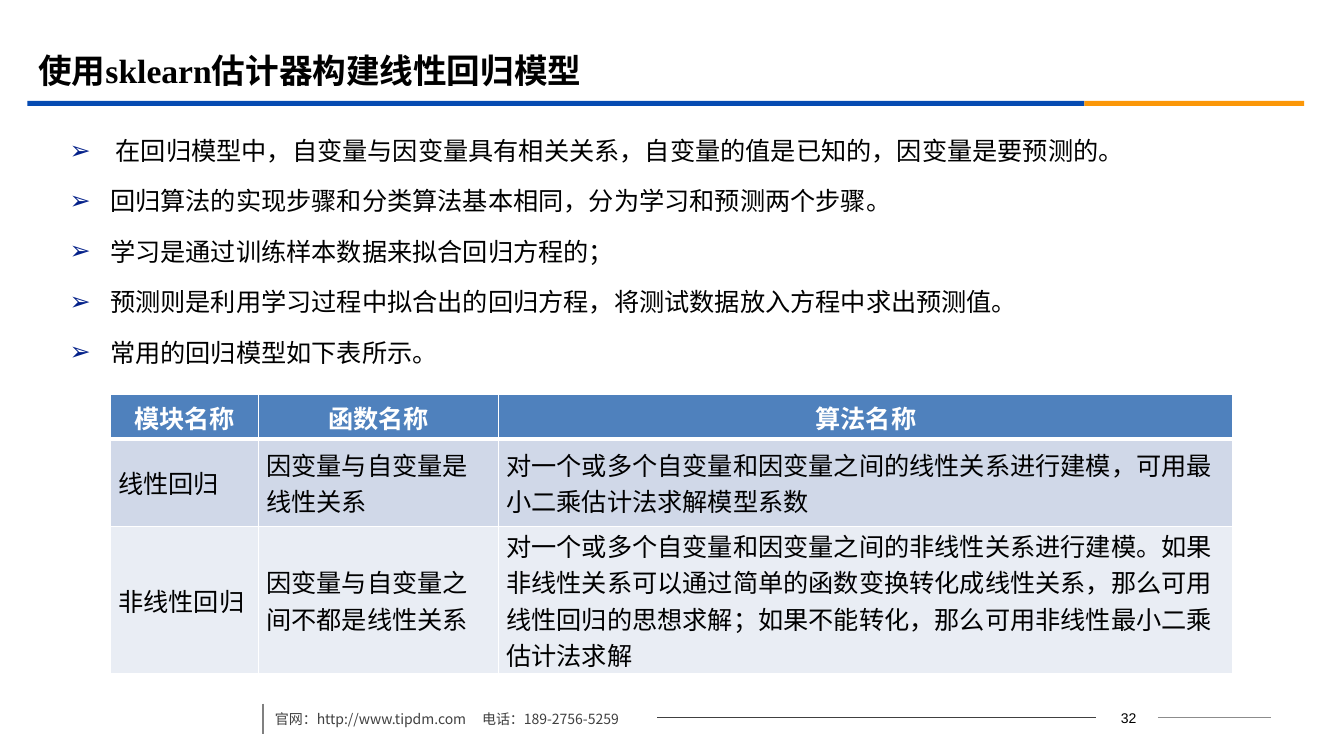
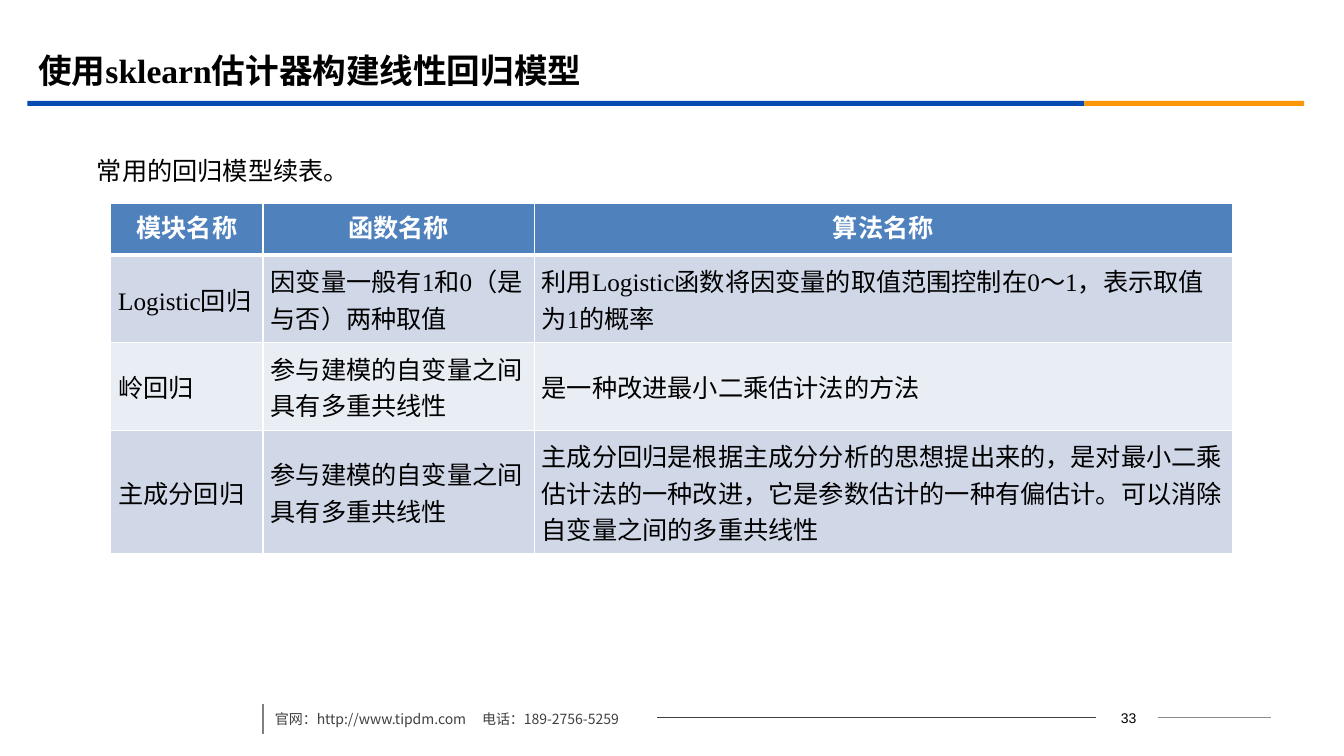
from lxml import etree
from pptx import Presentation
from pptx.dml.color import RGBColor
from pptx.enum.lang import MSO_LANGUAGE_ID as Language
from pptx.enum.shapes import MSO_CONNECTOR as Connector, MSO_SHAPE as Shape
from pptx.enum.text import MSO_ANCHOR as Anchor, MSO_AUTO_SIZE as AutoSize, PP_ALIGN as Align
from pptx.oxml.ns import qn
from pptx.util import Cm, Pt

COLORS = {
    "blue": "064BB2", "orange": "FB9708", "black": "000000", "white": "FFFFFF",
    "footer": "404040", "divider": "808080", "right_rule": "8C8C8C",
    "bullet": "032089", "header": "4F81BD", "odd_row": "D0D8E8", "even_row": "E9EDF4",
}
CHINESE_FONT = "Noto Sans CJK SC"
SERIF_FONT = "Times New Roman"
TITLE = "使用sklearn估计器构建线性回归模型"
TABLE_HEADER = ["模块名称", "函数名称", "算法名称"]
TABLE_LEFT = 2.79

BULLETS = [
    " 在回归模型中，自变量与因变量具有相关关系，自变量的值是已知的，因变量是要预测的。",
    "回归算法的实现步骤和分类算法基本相同，分为学习和预测两个步骤。",
    "学习是通过训练样本数据来拟合回归方程的；",
    "预测则是利用学习过程中拟合出的回归方程，将测试数据放入方程中求出预测值。",
    "常用的回归模型如下表所示。",
]
LINEAR_MODELS = [
    ["线性回归", "因变量与自变量是线性关系",
     "对一个或多个自变量和因变量之间的线性关系进行建模，可用最小二乘估计法求解模型系数"],
    ["非线性回归", "因变量与自变量之间不都是线性关系",
     "对一个或多个自变量和因变量之间的非线性关系进行建模。如果非线性关系可以通过简单的函数变换"
     "转化成线性关系，那么可用线性回归的思想求解；如果不能转化，那么可用非线性最小二乘估计法求解"],
]
OTHER_MODELS = [
    ["Logistic回归", "因变量一般有1和0（是与否）两种取值",
     "利用Logistic函数将因变量的取值范围控制在0～1，表示取值为1的概率"],
    ["岭回归", "参与建模的自变量之间具有多重共线性", "是一种改进最小二乘估计法的方法"],
    ["主成分回归", "参与建模的自变量之间具有多重共线性",
     "主成分回归是根据主成分分析的思想提出来的，是对最小二乘估计法的一种改进，"
     "它是参数估计的一种有偏估计。可以消除自变量之间的多重共线性"],
]


def rgb(name):
    return RGBColor.from_string(COLORS[name])


def write(paragraph, text, size=18, font=SERIF_FONT, color="black", bold=False,
          align=Align.LEFT, line_spacing=None, space_before=0):
    paragraph.alignment = align
    paragraph.space_before = Pt(space_before)
    if line_spacing:
        paragraph.line_spacing = line_spacing
    run = paragraph.add_run()
    run.text = text
    run.font.size = Pt(size)
    run.font.name = font
    run.font.bold = bold
    run.font.color.rgb = rgb(color)
    run.font.language_id = Language.SIMPLIFIED_CHINESE
    east_asian = etree.Element(qn("a:ea"), typeface=CHINESE_FONT)
    run.font._element.find(qn("a:latin")).addnext(east_asian)


def place(shape, left, top, width, height):
    shape.left, shape.top = Cm(left), Cm(top)
    shape.width, shape.height = Cm(width), Cm(height)


def add_bar(slide, left, width, color):
    bar = slide.shapes.add_shape(Shape.RECTANGLE, Cm(left), Cm(2.54), Cm(width), Cm(0.13))
    bar.shadow.inherit = False
    bar.fill.solid()
    bar.fill.fore_color.rgb = rgb(color)
    bar.line.fill.background()


def add_rule(slide, start, end, color, width=0.75):
    rule = slide.shapes.add_connector(Connector.STRAIGHT, *map(Cm, start + end))
    rule.line.color.rgb = rgb(color)
    rule.line.width = Pt(width)
    etree.SubElement(rule._element.spPr, qn("a:effectLst"))


def add_text(slide, left, top, width, height):
    """Add an empty text box and return its first paragraph."""
    frame = slide.shapes.add_textbox(Cm(left), Cm(top), Cm(width), Cm(height)).text_frame
    frame.word_wrap = True
    return frame.paragraphs[0]


def add_footer(slide, number):
    add_rule(slide, (29.18, 18.08), (32.03, 18.08), "right_rule")
    add_rule(slide, (16.56, 18.08), (27.61, 18.08), "footer")
    add_rule(slide, (6.63, 17.73), (6.63, 18.49), "divider", 1.25)
    write(add_text(slide, 27.66, 17.75, 1.57, 0.64), str(number),
          size=10, font="Arial", align=Align.CENTER)
    contact = add_text(slide, 6.68, 17.56, 13.61, 0.89)
    tabs = etree.SubElement(contact._p.get_or_add_pPr(), qn("a:tabLst"))
    etree.SubElement(tabs, qn("a:tab"), pos=str(Cm(5.22)), algn="l")
    write(contact, "官网：http://www.tipdm.com\t电话：189-2756-5259",
          size=10, font=CHINESE_FONT, color="footer", line_spacing=1.5)


def add_page(presentation, number):
    slide = presentation.slides.add_slide(presentation.slide_layouts[1])
    add_bar(slide, 0.69, 26.64, "blue")
    add_bar(slide, 27.33, 5.54, "orange")
    add_footer(slide, number)
    title = slide.shapes.title
    place(title, 0.71, 1.02, 30.48, 1.47)
    title.text_frame.vertical_anchor = Anchor.MIDDLE
    write(title.text_frame.paragraphs[0], TITLE, size=24, bold=True)
    return slide


def set_bullet(paragraph, character):
    """Indent the paragraph and give it the bullet, or none if empty."""
    properties = paragraph._p.get_or_add_pPr()
    properties.set("marL", str(Cm(1.02)))
    properties.set("indent", str(Cm(-1.02 if character else 0)))
    if not character:
        etree.SubElement(properties, qn("a:buNone"))
        return
    color = etree.SubElement(properties, qn("a:buClr"))
    etree.SubElement(color, qn("a:srgbClr"), val=COLORS["bullet"])
    etree.SubElement(properties, qn("a:buFont"), typeface="Arial")
    etree.SubElement(properties, qn("a:buChar"), char=character)


def fill_body(slide, lines, box, bullet=None):
    body = slide.placeholders[1]
    place(body, *box)
    frame = body.text_frame
    frame.auto_size = AutoSize.NONE
    for index, line in enumerate(lines):
        paragraph = frame.add_paragraph() if index else frame.paragraphs[0]
        set_bullet(paragraph, bullet)
        write(paragraph, line, line_spacing=1.5, space_before=3.6 if index else 0)


def set_borders(cell, top, bottom):
    properties = cell._tc.get_or_add_tcPr()
    for side, width in (("L", 1), ("R", 1), ("T", top), ("B", bottom)):
        line = etree.SubElement(properties, qn(f"a:ln{side}"), w=str(Pt(width)))
        fill = etree.SubElement(line, qn("a:solidFill"))
        etree.SubElement(fill, qn("a:srgbClr"), val=COLORS["white"])


def format_cell(cell, text, row):
    set_borders(cell, top=3 if row == 1 else 1, bottom=1 if row else 3)
    cell.fill.solid()
    paragraph = cell.text_frame.paragraphs[0]
    if row == 0:
        cell.fill.fore_color.rgb = rgb("header")
        write(paragraph, text, font="Calibri", color="white", bold=True, align=Align.CENTER)
        return
    cell.fill.fore_color.rgb = rgb("odd_row" if row % 2 else "even_row")
    cell.vertical_anchor = Anchor.MIDDLE
    cell.margin_left = cell.margin_right = Cm(0.19)
    cell.margin_top = cell.margin_bottom = 0
    write(paragraph, text)


def add_model_table(slide, top, models, widths, heights):
    rows = [TABLE_HEADER] + models
    table = slide.shapes.add_table(len(rows), len(widths), Cm(TABLE_LEFT), Cm(top),
                                   Cm(sum(widths)), Cm(sum(heights))).table
    for column, width in zip(table.columns, widths):
        column.width = Cm(width)
    for index, (texts, height) in enumerate(zip(rows, heights)):
        table.rows[index].height = Cm(height)
        for cell, text in zip(table.rows[index].cells, texts):
            format_cell(cell, text, index)


def main():
    presentation = Presentation()
    presentation.slide_width, presentation.slide_height = Cm(33.87), Cm(19.05)

    slide = add_page(presentation, 32)
    fill_body(slide, BULLETS, (1.5, 2.9, 30.86, 6.9), bullet="➢")
    add_model_table(slide, 9.93, LINEAR_MODELS, (3.73, 6.05, 18.5), (1.13, 2.21, 3.71))

    slide = add_page(presentation, 33)
    fill_body(slide, ["常用的回归模型续表。"], (1.17, 3.4, 30.86, 1.6))
    add_model_table(slide, 5.13, OTHER_MODELS, (3.84, 6.83, 17.6), (1.3, 2.21, 2.21, 3.1))

    presentation.save("out.pptx")


if __name__ == "__main__":
    main()
